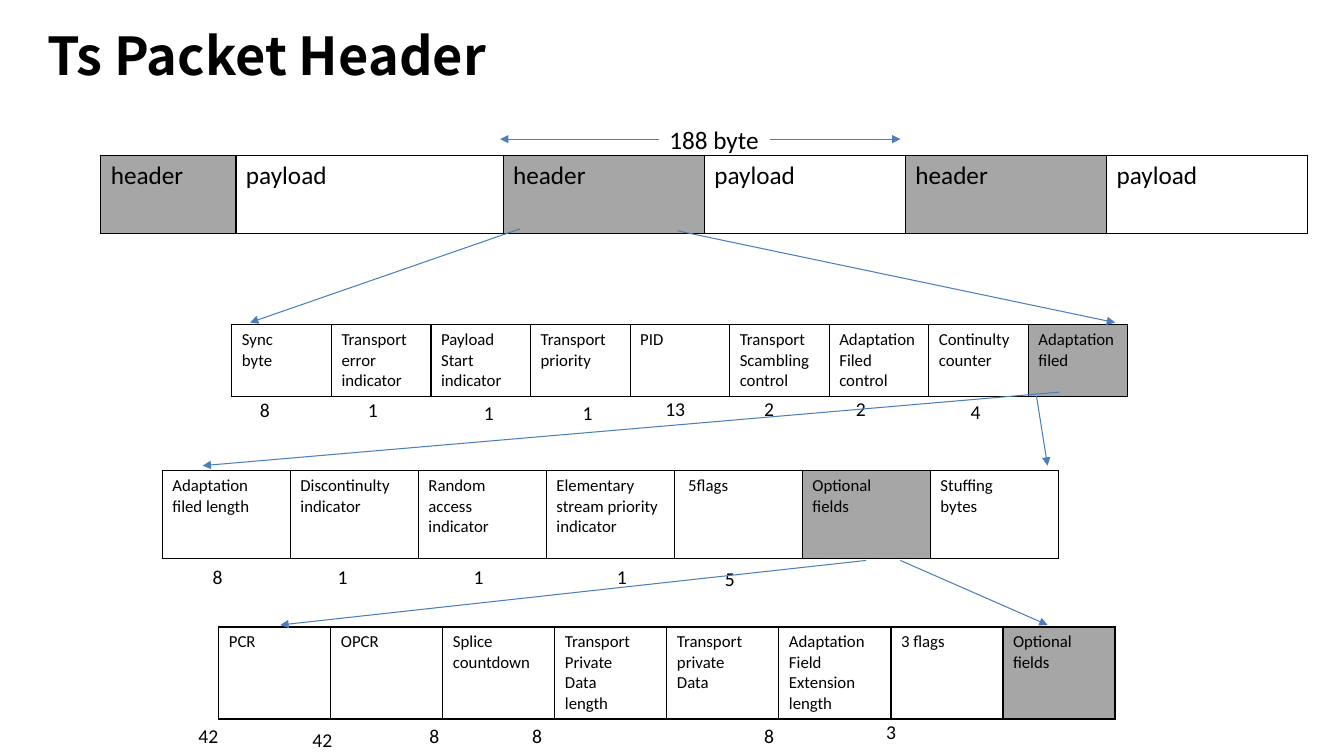
from lxml import etree
from pptx import Presentation
from pptx.dml.color import RGBColor
from pptx.enum.shapes import MSO_CONNECTOR
from pptx.enum.text import MSO_ANCHOR, MSO_AUTO_SIZE, PP_ALIGN
from pptx.oxml.ns import qn
from pptx.util import Inches, Pt

STRAIGHT = MSO_CONNECTOR.STRAIGHT
LEFT, MIDDLE = PP_ALIGN.LEFT, MSO_ANCHOR.MIDDLE
FIT_SHAPE = MSO_AUTO_SIZE.SHAPE_TO_FIT_TEXT
BLACK = RGBColor(0x00, 0x00, 0x00)
WHITE = RGBColor(0xFF, 0xFF, 0xFF)
GRAY = RGBColor(0xA6, 0xA6, 0xA6)
BLUE = RGBColor(0x4B, 0x7E, 0xBC)
TITLE_ONLY = 5


class PacketSlide:
    title_font, body_font = "Noto Sans CJK SC", "Calibri"

    def __init__(self, prs):
        self.slide = prs.slides.add_slide(prs.slide_layouts[TITLE_ONLY])

    def set_text(self, frame, text, size, **extra):
        frame.text = text
        style = {"name": self.body_font, "size": Pt(size), "bold": False, **extra}
        for paragraph in frame.paragraphs:
            paragraph.alignment = LEFT
            for run in paragraph.runs:
                run.font.color.rgb = BLACK
                for key, value in style.items():
                    setattr(run.font, key, value)

    def title(self, text, left, top, width, height):
        title = self.slide.shapes.title
        box = {"left": left, "top": top, "width": width, "height": height}
        for key, value in box.items():
            setattr(title, key, Inches(value))
        self.set_text(title.text_frame, text, 37.3, name=self.title_font, bold=True)
        title.text_frame.vertical_anchor = MIDDLE

    def label(self, text, left, top, width, height=0.34, size=14):
        box = self.slide.shapes.add_textbox(
            Inches(left), Inches(top), Inches(width), Inches(height))
        self.set_text(box.text_frame, text, size)
        box.text_frame.word_wrap = False
        box.text_frame.auto_size = FIT_SHAPE

    def border(self, cell):
        properties = cell._tc.get_or_add_tcPr()
        for side in ("a:lnL", "a:lnR", "a:lnT", "a:lnB"):
            line = etree.SubElement(properties, qn(side), w=str(Pt(1)))
            fill = etree.SubElement(line, qn("a:solidFill"))
            etree.SubElement(fill, qn("a:srgbClr"), val=str(BLACK))

    def fields(self, names, shaded, left, top, height, widths, size=12):
        """One row of packet fields; shaded holds the gray column indexes."""
        table = self.slide.shapes.add_table(
            1, len(names), Inches(left), Inches(top),
            Inches(sum(widths)), Inches(height)).table
        table.first_row = table.horz_banding = False
        for i, (name, width) in enumerate(zip(names, widths)):
            table.columns[i].width = Inches(width)
            cell = table.cell(0, i)
            self.set_text(cell.text_frame, name, size)
            self.border(cell)
            cell.fill.solid()
            cell.fill.fore_color.rgb = GRAY if i in shaded else WHITE

    def arrow(self, start, end):
        line = self.slide.shapes.add_connector(
            STRAIGHT, *(Inches(v) for v in start + end))
        line.line.color.rgb = BLUE
        line.line.width = Pt(0.75)
        properties = line._element.spPr
        etree.SubElement(properties.find(qn("a:ln")), qn("a:tailEnd"), type="triangle")
        etree.SubElement(properties, qn("a:effectLst"))


def main():
    prs = Presentation()
    prs.slide_width, prs.slide_height = Inches(13.33), Inches(7.5)
    packet = PacketSlide(prs)
    packet.title("Ts Packet Header", 0.37, 0.18, 12.6, 0.72)

    # Packet stream
    packet.fields(["header", "payload"] * 3, {0, 2, 4}, 1, 1.54, 0.78,
                  [1.34, 2.65] + [7.98 / 4] * 4, size=18)

    # Header fields
    packet.fields(
        ["Sync\nbyte", "Transport error\nindicator", "Payload\nStart\nindicator",
         "Transport priority", "PID", "Transport\nScambling\ncontrol",
         "Adaptation\nFiled\ncontrol", "Continulty\ncounter", "Adaptation\nfiled"],
        {8}, 2.3, 3.22, 0.7, [8.89 / 9] * 9)

    # Adaptation field
    packet.fields(
        ["Adaptation filed length", "Discontinulty indicator",
         "Random\naccess indicator", "Elementary stream priority indicator",
         " 5flags", "Optional\nfields", "Stuffing\nbytes"],
        {5}, 1.61, 4.67, 0.87, [1.27] * 7)

    # Optional fields
    packet.fields(
        ["PCR", "OPCR", "Splice countdown", "Transport\nPrivate\nData\nlength",
         "Transport\nprivate\nData", "Adaptation\nField\nExtension\nlength",
         "3 flags", "Optional\nfields"],
        {7}, 2.17, 6.22, 0.9, [8.89 / 8] * 8)

    # Packet length
    packet.label("188 byte", 6.54, 1.18, 1.1, 0.4, size=18)
    packet.arrow((7.64, 1.38), (8.93, 1.38))
    packet.arrow((6.54, 1.38), (4.96, 1.38))

    # Bit counts under each row of fields
    bit_counts = [
        ("8", 2.48, 3.9), ("1", 3.55, 3.9), ("1", 4.7, 3.93), ("1", 5.68, 3.93),
        ("13", 6.5, 3.89), ("2", 7.48, 3.89), ("2", 8.39, 3.89), ("4", 9.53, 3.92),
        ("8", 2.01, 5.56), ("1", 3.25, 5.56), ("1", 4.6, 5.56), ("1", 6.02, 5.56),
        ("5", 7.09, 5.58),
        ("42", 1.87, 7.13), ("42", 3, 7.17), ("8", 4.16, 7.13), ("8", 5.18, 7.13),
        ("8", 7.48, 7.13), ("3", 8.69, 7.09),
    ]
    for bits, left, top in bit_counts:
        packet.label(bits, left, top, 0.2 + 0.1 * len(bits))

    # Arrows from each gray field to the row that details it
    expansions = [
        ((8.59, 5.56), (2.78, 6.2)), ((8.93, 5.56), (10.39, 6.2)),
        ((10.51, 3.89), (2.01, 4.62)), ((10.28, 3.93), (10.39, 4.62)),
        ((5.16, 2.27), (2.48, 3.2)), ((6.72, 2.29), (11.06, 3.2)),
    ]
    for start, end in expansions:
        packet.arrow(start, end)

    prs.save("out.pptx")


if __name__ == "__main__":
    main()
